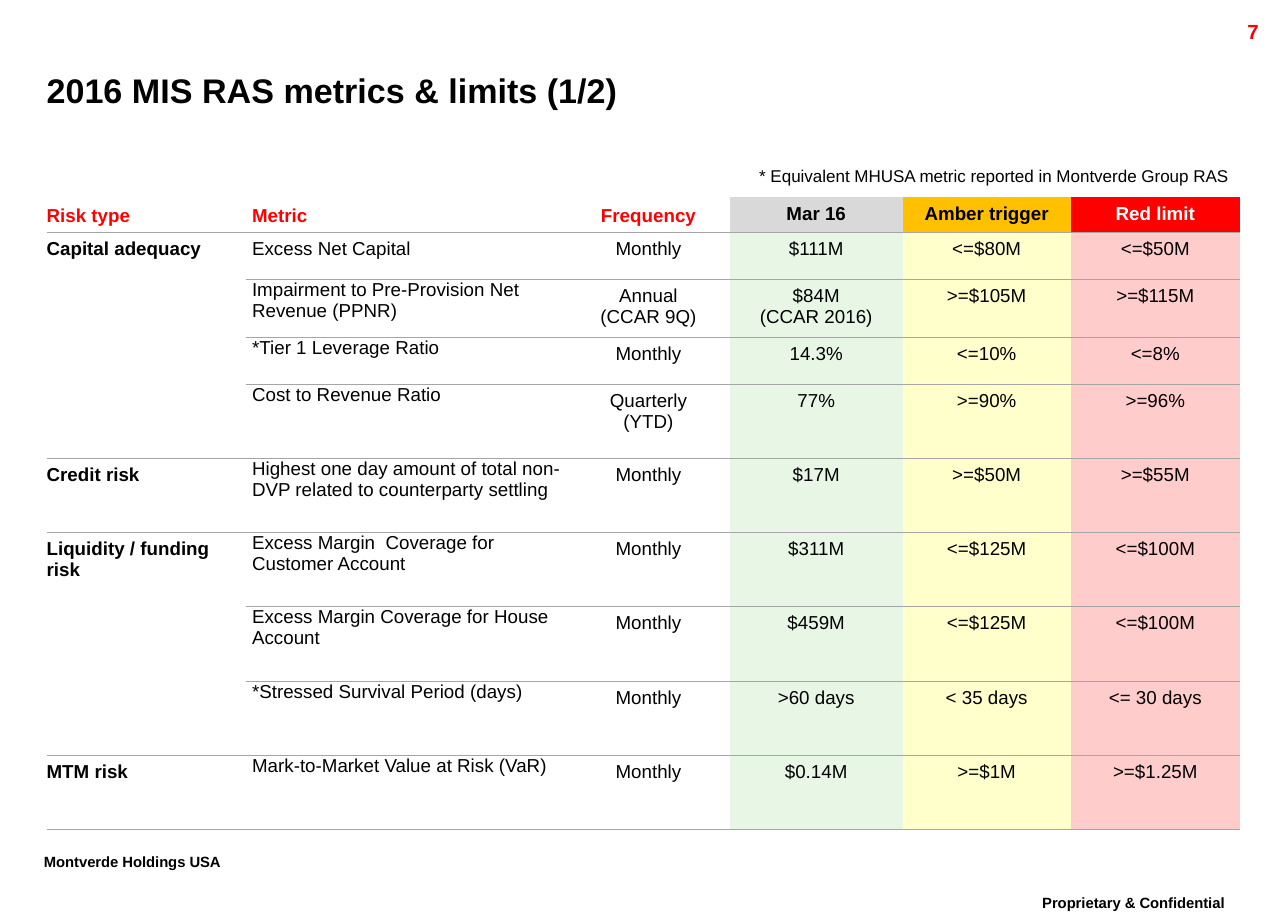
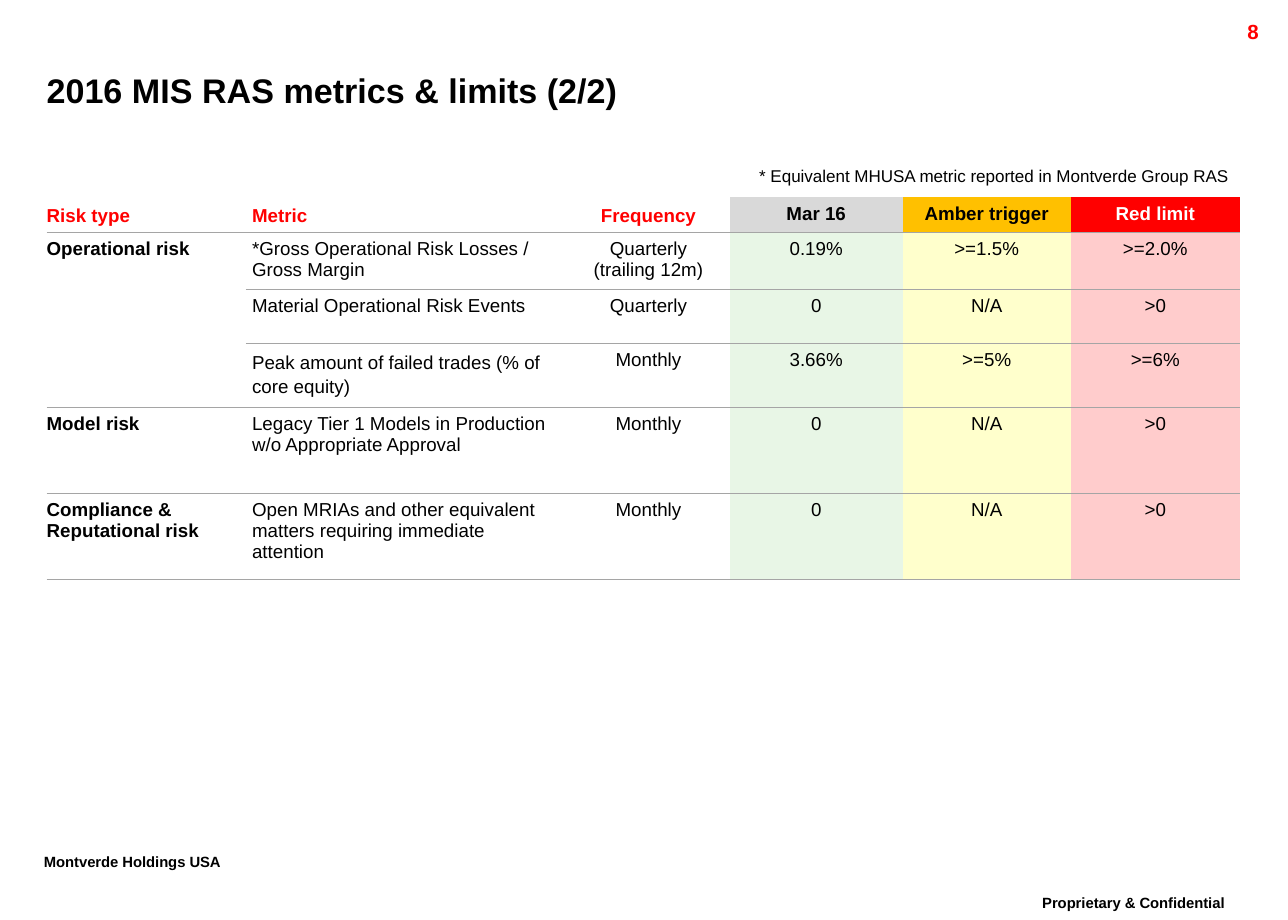
from pptx import Presentation, util as u
from pptx.dml.color import RGBColor
from pptx.enum import text
from pptx.oxml import parse_xml
from pptx.oxml.ns import nsdecls, qn

PX = 4572
BLACK, WHITE, RED, GREY = "000000", "FFFFFF", "FF0000", "A5A5A5"
TIGHT = 0.86
INSET = 10
NO_STYLE = "{2D5ABB26-0587-4C30-8999-92F81FD0307C}"
LEFT, CENTER, RIGHT = (text.PP_ALIGN.LEFT, text.PP_ALIGN.CENTER,
                       text.PP_ALIGN.RIGHT)
TOP, MIDDLE, BOTTOM = (text.MSO_ANCHOR.TOP, text.MSO_ANCHOR.MIDDLE,
                       text.MSO_ANCHOR.BOTTOM)

COLS = [325, 524, 265, 282, 274, 276]
HEADERS = [
    ("Risk type", RED, None, LEFT, BOTTOM),
    ("Metric", RED, None, LEFT, BOTTOM),
    ("Frequency", RED, None, CENTER, BOTTOM),
    ("Mar 16", BLACK, "D9D9D9", CENTER, MIDDLE),
    ("Amber trigger", BLACK, "FFC000", CENTER, MIDDLE),
    ("Red limit", WHITE, RED, CENTER, MIDDLE),
]
BODY_FILLS = [None, None, None, "E8F6E6", "FFFFCC", "FFCCCC"]

SLIDES = [
    dict(number=7, title="2016 MIS RAS metrics & limits (1/2)",
         heights=[57, 77, 94, 77] + [121] * 6, flush_from=2, spacings={},
         groups=[
             ("Capital adequacy", [
                 ("Excess Net Capital", "Monthly", "$111M", "<=$80M", "<=$50M"),
                 ("Impairment to Pre-Provision Net Revenue (PPNR)",
                  "Annual\n(CCAR 9Q)", "$84M\n(CCAR 2016)", ">=$105M", ">=$115M"),
                 ("*Tier 1 Leverage Ratio", "Monthly", "14.3%", "<=10%", "<=8%"),
                 ("Cost to Revenue Ratio", "Quarterly\n(YTD)", "77%", ">=90%", ">=96%"),
             ]),
             ("Credit risk", [
                 ("Highest one day amount of total non-DVP related to counterparty settling",
                  "Monthly", "$17M", ">=$50M", ">=$55M"),
             ]),
             ("Liquidity / funding risk", [
                 ("Excess Margin  Coverage for Customer Account",
                  "Monthly", "$311M", "<=$125M", "<=$100M"),
                 ("Excess Margin Coverage for House Account",
                  "Monthly", "$459M", "<=$125M", "<=$100M"),
                 ("*Stressed Survival Period (days)",
                  "Monthly", ">60 days", "< 35 days", "<= 30 days"),
             ]),
             ("MTM risk", [
                 ("Mark-to-Market Value at Risk (VaR)",
                  "Monthly", "$0.14M", ">=$1M", ">=$1.25M"),
             ]),
         ]),
    dict(number=8, title="2016 MIS RAS metrics & limits (2/2)",
         heights=[57, 93, 88, 104, 140, 140], flush_from=6, spacings={3: 1.15},
         groups=[
             ("Operational risk", [
                 ("*Gross Operational Risk Losses / Gross Margin",
                  "Quarterly\n(trailing 12m)", "0.19%", ">=1.5%", ">=2.0%"),
                 ("Material Operational Risk Events", "Quarterly", "0", "N/A", ">0"),
                 ("Peak amount of failed trades (% of core equity)",
                  "Monthly", "3.66%", ">=5%", ">=6%"),
             ]),
             ("Model risk", [
                 ("Legacy Tier 1 Models in Production w/o Appropriate Approval",
                  "Monthly", "0", "N/A", ">0"),
             ]),
             ("Compliance & Reputational risk", [
                 ("Open MRIAs and other equivalent matters requiring immediate attention",
                  "Monthly", "0", "N/A", ">0"),
             ]),
         ]),
]


def rgb(value):
    """Turn a hex string into a colour."""
    return RGBColor.from_string(value)


def apply(obj, **values):
    """Set attributes from a dict of format values."""
    for name, value in values.items():
        setattr(obj, name, value)


def write(tf, content, size, color=BLACK, bold=False, align=LEFT,
          spacing=None, baseline=None):
    """Fill a text frame and format each paragraph and run."""
    tf.text = content
    for p in tf.paragraphs:
        apply(p, alignment=align, line_spacing=spacing)
        for r in p.runs:
            apply(r.font, name="Arial", size=u.Pt(size), bold=bold)
            r.font.color.rgb = rgb(color)
            if baseline:
                r._r.get_or_add_rPr().set("baseline", str(baseline))


def add_text(s, box, content, size, wrap=True, inset=None, anchor=TOP, **style):
    """Place a text box in a px box."""
    tf = s.shapes.add_textbox(*(v * PX for v in box)).text_frame
    apply(tf, word_wrap=wrap, vertical_anchor=anchor)
    if inset is not None:
        apply(tf, **{f"margin_{side}": inset * PX
                     for side in ("left", "top", "right", "bottom")})
    write(tf, content, size, **style)


def add_frame(s, number, title):
    """Add the title, page number, table note and footers."""
    footer = dict(bold=True, spacing=TIGHT, baseline=30000)
    add_text(s, (1630, 1450, 436, 70), "Proprietary & Confidential", 15,
             align=CENTER, **footer)
    add_text(s, (52, 1382, 382, 70), "Montverde Holdings USA", 15,
             wrap=False, **footer)
    add_text(s, (1872, 22, 200, 48), str(number), 12, color=RED, bold=True,
             align=RIGHT)
    add_text(s, (76, 98, 1896, 96), title, 20, inset=0, anchor=MIDDLE, bold=True)
    add_text(s, (1160, 264, 920, 50),
             "* Equivalent MHUSA metric reported in Montverde Group RAS", 10,
             wrap=False, align=CENTER, spacing=TIGHT)


def format_cell(cell, content, fill=None, anchor=TOP, edges=("B",),
                margins=(INSET,) * 4, **style):
    """Write one table cell with its borders, margins and fill."""
    tcPr = cell._tc.get_or_add_tcPr()
    for edge in edges:
        tcPr.append(parse_xml(
            f'<a:ln{edge} {nsdecls("a")} w="9525"><a:solidFill>'
            f'<a:srgbClr val="{GREY}"/></a:solidFill></a:ln{edge}>'))
    left, top, right, bottom = (m * PX for m in margins)
    apply(cell, vertical_anchor=anchor, margin_left=left, margin_top=top,
          margin_right=right, margin_bottom=bottom)
    if fill:
        cell.fill.solid()
        cell.fill.fore_color.rgb = rgb(fill)
    else:
        cell.fill.background()
    write(cell.text_frame, content, 11, **style)


def add_metrics_table(s, left, top, heights, groups, flush_from, spacings):
    """Add the table of risk metrics, with one merged cell per risk type."""
    tbl = s.shapes.add_table(len(heights), len(COLS), left * PX, top * PX,
                             sum(COLS) * PX, sum(heights) * PX).table
    apply(tbl, first_row=False, horz_banding=False)
    tbl._tbl.tblPr.find(qn("a:tableStyleId")).text = NO_STYLE
    for col, width in zip(tbl.columns, COLS):
        col.width = width * PX
    for row, height in zip(tbl.rows, heights):
        row.height = height * PX

    risk_margins = (0, INSET, INSET, INSET)
    for c, (label, color, fill, align, anchor) in enumerate(HEADERS):
        format_cell(tbl.cell(0, c), label, fill, anchor, color=color, bold=True,
                    align=align, spacing=TIGHT,
                    margins=risk_margins if c == 0 else (INSET,) * 4)

    first = 1
    for risk, metrics in groups:
        last = first + len(metrics) - 1
        for i, values in enumerate(metrics, first):
            edges = ["T"] * (i == first) + ["B"] * (i == last)
            format_cell(tbl.cell(i, 0), risk if i == first else "", edges=edges,
                        margins=risk_margins, bold=True)
            for c, value in enumerate(values, 1):
                is_metric = c == 1
                flush = is_metric and i >= flush_from
                format_cell(tbl.cell(i, c), value, BODY_FILLS[c],
                            margins=(INSET, 0, 0, 0) if flush else (INSET,) * 4,
                            align=LEFT if is_metric else CENTER,
                            spacing=spacings.get(i) if is_metric else None)
        if last > first:
            tbl.cell(first, 0).merge(tbl.cell(last, 0))
        first = last + 1


def main():
    """Build both slides and save them."""
    prs = Presentation()
    apply(prs, slide_width=2100 * PX, slide_height=1500 * PX)
    for content in SLIDES:
        s = prs.slides.add_slide(prs.slide_layouts[6])
        table = dict(content)
        add_frame(s, table.pop("number"), table.pop("title"))
        add_metrics_table(s, 76, 322, **table)
    prs.save("out.pptx")


if __name__ == "__main__":
    main()
